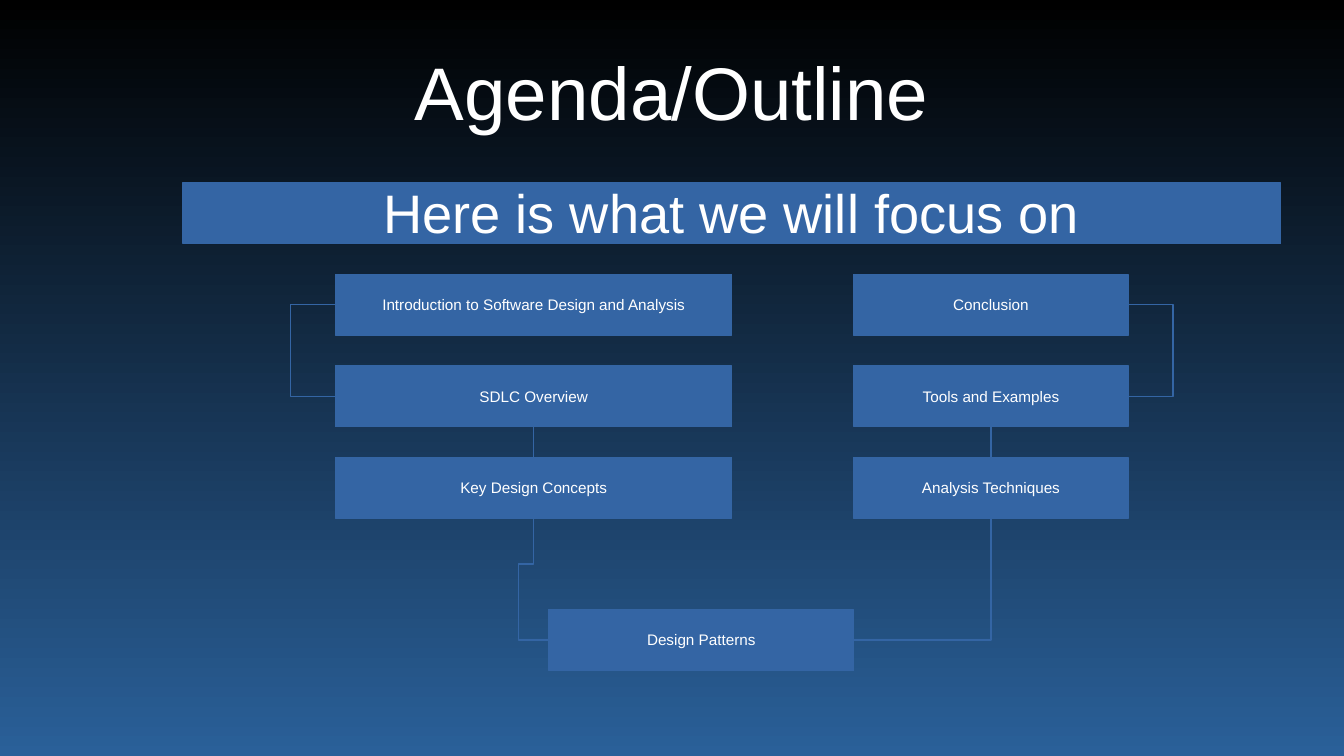
from lxml.etree import SubElement
from pptx import Presentation
from pptx.dml.color import RGBColor
from pptx.enum.shapes import MSO_CONNECTOR, MSO_SHAPE
from pptx.enum.text import MSO_ANCHOR, PP_ALIGN
from pptx.oxml.ns import qn
from pptx.util import Inches, Pt

BLACK = RGBColor(0x00, 0x00, 0x00)
WHITE = RGBColor(0xFF, 0xFF, 0xFF)
DEEP_BLUE = RGBColor(0x2A, 0x60, 0x99)
STEP_BLUE = RGBColor(0x34, 0x65, 0xA4)

# Connection sites of a process box
TOP, LEFT, BOTTOM, RIGHT = range(4)

# Text formats: font size, space before, space after, top and bottom insets
TITLE_TEXT = (44, 0.3, 0.3, 0.04, 0)
BANNER_TEXT = (32, 0.3, 0.3, 0.08, 0.05)
STEP_TEXT = (9, 12.1, 10.1, 0.06, 0.05)

STEP_HEIGHT = Inches(0.5)
STEP_PITCH = Inches(0.75)
DETOUR = Inches(0.375)
SLIVER = Inches(0.01)


def set_all(target, values):
    for name, value in values.items():
        setattr(target, name, value)


def write(holder, text, text_format, side_inset):
    size, before, after, top, bottom = text_format
    frame = holder.text_frame
    set_all(frame, {
        "word_wrap": True, "vertical_anchor": MSO_ANCHOR.MIDDLE,
        "margin_left": side_inset, "margin_right": side_inset,
        "margin_top": Inches(top), "margin_bottom": Inches(bottom),
    })
    paragraph = frame.paragraphs[0]
    set_all(paragraph, {
        "text": text, "alignment": PP_ALIGN.CENTER, "line_spacing": 0.93,
        "space_before": Pt(before), "space_after": Pt(after),
    })
    font = paragraph.runs[0].font
    set_all(font, {"name": "Arial", "size": Pt(size)})
    font.color.rgb = WHITE


def paint_background(slide):
    fill = slide.background.fill
    fill.gradient()
    fill.gradient_angle = 270
    for stop, position, color in zip(fill.gradient_stops, (0, 1), (BLACK, DEEP_BLUE)):
        stop.position = position
        stop.color.rgb = color


def add_title(slide, text, left, top, width, height):
    title = slide.shapes.add_textbox(left, top, width, height)
    write(title, text, TITLE_TEXT, 0)


def add_process(slide, text, text_format, left, top, width, height=STEP_HEIGHT):
    process = slide.shapes.add_shape(
        MSO_SHAPE.FLOWCHART_PROCESS, left, top, width, height)
    process.shadow.inherit = False
    process.fill.solid()
    process.fill.fore_color.rgb = STEP_BLUE
    process.line.color.rgb = STEP_BLUE
    process.line.width = Pt(0.75)
    write(process, text, text_format, Inches(0.1))
    return process


def add_column(slide, topics, left, top, width):
    return [add_process(slide, topic, STEP_TEXT, left, top + row * STEP_PITCH, width)
            for row, topic in enumerate(topics)]


def site_point(step, site):
    middle_x, middle_y = step.left + step.width // 2, step.top + step.height // 2
    return {
        TOP: (middle_x, step.top), LEFT: (step.left, middle_y),
        BOTTOM: (middle_x, step.top + step.height),
        RIGHT: (step.left + step.width, middle_y),
    }[site]


def link(slide, start, start_site, end, end_site, kind=MSO_CONNECTOR.ELBOW):
    connector = slide.shapes.add_connector(
        kind, *site_point(start, start_site), *site_point(end, end_site))
    connector.begin_connect(start, start_site)
    connector.end_connect(end, end_site)
    connector.line.color.rgb = STEP_BLUE
    connector.line.width = Pt(0.75)
    SubElement(connector._element.spPr, qn("a:effectLst"))
    return connector


def bend(connector, preset, **adjustments):
    """Choose the elbow preset and place its bends, as shares of its size."""
    geometry = connector._element.spPr.find(qn("a:prstGeom"))
    geometry.set("prst", preset)
    guides = geometry.find(qn("a:avLst"))
    for name, share in adjustments.items():
        SubElement(guides, qn("a:gd"), name=name, fmla=f"val {round(share * 100000)}")


def turn_downward(connector):
    """Let an elbow leave its first step vertically."""
    left, top, width, height = (
        connector.left, connector.top, connector.width, connector.height)
    set_all(connector, {
        "left": left + (width - height) // 2, "top": top + (height - width) // 2,
        "width": height, "height": width,
    })
    transform = connector._element.spPr.find(qn("a:xfrm"))
    transform.set("rot", str(270 * 60000))
    transform.set("flipH", "1")


def link_around(slide, start, end, site, offset):
    connector = link(slide, start, site, end, site)
    connector.width = SLIVER
    bend(connector, "bentConnector3", adj1=offset / SLIVER)


def add_flow(slide, left, top):
    # Steps: down the left column, across the bottom, up the right column
    introduction, overview, concepts = add_column(
        slide,
        ["Introduction to Software Design and Analysis", "SDLC Overview",
         "Key Design Concepts"],
        left, top, Inches(3.25))
    conclusion, tools, techniques = add_column(
        slide, ["Conclusion", "Tools and Examples", "Analysis Techniques"],
        left + Inches(4.25), top, Inches(2.25))
    patterns = add_process(slide, "Design Patterns", STEP_TEXT,
                           left + Inches(1.75), top + Inches(2.75), Inches(2.5))

    # Links in reading order
    link_around(slide, introduction, overview, LEFT, -DETOUR)
    link(slide, overview, BOTTOM, concepts, TOP, MSO_CONNECTOR.STRAIGHT)
    into_patterns = link(slide, concepts, BOTTOM, patterns, LEFT)
    turn_downward(into_patterns)
    bend(into_patterns, "bentConnector4", adj1=DETOUR / into_patterns.width, adj2=-1)
    bend(link(slide, patterns, RIGHT, techniques, BOTTOM), "bentConnector2")
    link(slide, techniques, TOP, tools, BOTTOM, MSO_CONNECTOR.STRAIGHT)
    link_around(slide, tools, conclusion, RIGHT, DETOUR)


def main():
    deck = Presentation()
    set_all(deck, {"slide_width": Inches(11.02), "slide_height": Inches(6.2)})
    slide = deck.slides.add_slide(deck.slide_layouts[6])
    paint_background(slide)
    add_title(slide, "Agenda/Outline",
              Inches(0.55), Inches(0.25), Inches(9.92), Inches(1.03))
    add_process(slide, "Here is what we will focus on", BANNER_TEXT,
                Inches(1.5), Inches(1.5), Inches(9))
    add_flow(slide, Inches(2.75), Inches(2.25))
    deck.save("out.pptx")


if __name__ == "__main__":
    main()
